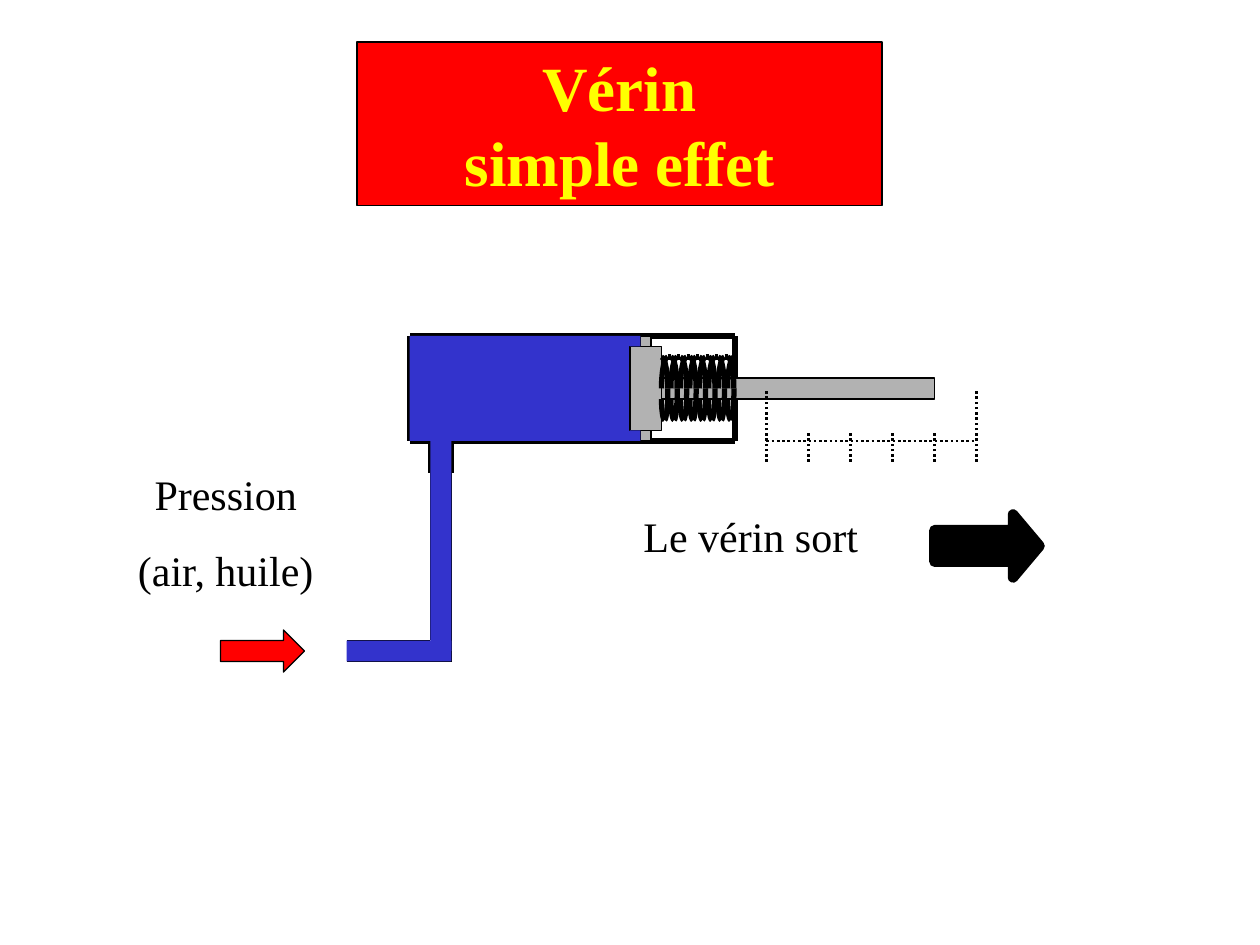
from dataclasses import dataclass

from pptx import Presentation
from pptx.dml.color import RGBColor
from pptx.enum import dml, shapes, text
from pptx.oxml import ns, parse_xml
from pptx.util import Pt

SHAPE = shapes.MSO_SHAPE


@dataclass(frozen=True)
class Theme:
    black: str = "000000"
    red: str = "FF0000"
    yellow: str = "FFFF00"
    fluid: str = "3333CC"
    steel: str = "B2B2B2"
    font: str = "Times New Roman"
    title: float = 36
    label: float = 24
    thin: float = 0.75
    dotted: float = 1.5
    wall: float = 3
    heavy: float = 6


T = Theme()


def rgb(value):
    return RGBColor.from_string(value)


def place(sp, x, y, w, h):
    sp.left, sp.top, sp.width, sp.height = Pt(x), Pt(y), Pt(w), Pt(h)


def paint(sp, fill, width):
    """Fill and outline a shape; None means no fill or no outline."""
    if fill:
        sp.fill.solid()
        sp.fill.fore_color.rgb = rgb(fill)
    else:
        sp.fill.background()
    if width:
        sp.line.color.rgb = rgb(T.black)
        sp.line.width = Pt(width)
    else:
        sp.line.fill.background()


def add_box(parent, x, y, w, h, fill=None, width=None, kind=SHAPE.RECTANGLE):
    sp = parent.shapes.add_shape(kind, Pt(x), Pt(y), Pt(w), Pt(h))
    sp.shadow.inherit = False
    paint(sp, fill, width)
    return sp


def add_arc(parent, x, y, w, h, start):
    """Quarter ellipse, clockwise from the start angle in degrees."""
    sp = add_box(parent, x, y, w, h, width=T.wall, kind=SHAPE.ARC)
    for i, angle in enumerate((start, (start + 90) % 360)):
        sp.adjustments[i] = angle * 0.6  # 60000ths of a degree / 100000


def add_line(parent, x1, y1, x2, y2, width, dash=None):
    ln = parent.shapes.add_connector(
        shapes.MSO_CONNECTOR.STRAIGHT, Pt(x1), Pt(y1), Pt(x2), Pt(y2))
    ln.line.color.rgb = rgb(T.black)
    ln.line.width = Pt(width)
    if dash:
        ln.line.dash_style = dash
    ln._element.spPr.append(parse_xml(f"<a:effectLst {ns.nsdecls('a')}/>"))


def add_path(parent, points, width):
    for start, end in zip(points, points[1:]):
        add_line(parent, *start, *end, width)


def write(sp, content, size, color, before, bold=False):
    tf = sp.text_frame
    tf.text = content
    tf.word_wrap = True
    tf.auto_size = text.MSO_AUTO_SIZE.NONE
    tf.vertical_anchor = text.MSO_ANCHOR.TOP
    for p in tf.paragraphs:
        p.alignment = text.PP_ALIGN.CENTER
        p.space_before = Pt(before)
        for r in p.runs:
            r.font.name, r.font.size, r.font.bold = T.font, Pt(size), bold
            r.font.color.rgb = rgb(color)


def add_label(s, x, y, w, h, content):
    sp = s.shapes.add_textbox(Pt(x), Pt(y), Pt(w), Pt(h))
    write(sp, content, T.label, T.black, 15)


def add_title(s):
    sp = s.shapes.title
    place(sp, 204, 24, 300, 93.6)
    paint(sp, T.red, T.thin)
    write(sp, "Vérin\vsimple effet", T.title, T.yellow, 22.5, bold=True)


def add_cylinder(s):
    # Walls and inlet
    add_path(s, [(420, 252), (258, 252), (258, 270)], T.wall)
    add_path(s, [(420, 192), (234, 192), (234, 252), (246, 252), (246, 270)],
             T.wall)
    # Supply pipe
    add_path(s, [(246, 270), (246, 366), (198, 366)], T.thin)
    add_path(s, [(258, 270), (258, 378), (198, 378)], T.thin)
    # Fluid
    add_box(s, 198, 366, 60, 12, T.fluid)
    add_box(s, 246, 252, 12, 120, T.fluid)
    add_box(s, 234, 192, 126, 60, T.fluid)
    add_line(s, 420, 252, 420, 192, T.wall)


def add_piston(s):
    g = s.shapes.add_group_shape()
    add_box(g, 360, 198, 18, 48, T.steel, T.thin)
    for y in (192, 246):  # seals
        add_box(g, 366, y, 6, 6, T.steel, T.thin)
    add_box(g, 378, 216, 156, 12, T.steel, T.thin)  # rod
    for y in (246, 192):  # fluid beside the seals
        add_box(g, 360, y, 6, 6, T.fluid)


def add_spring(s):
    g = s.shapes.add_group_shape()
    coils, pitch, w, top, h = 8, 5.4, 3.6, 204, 36
    for i in range(coils):
        x = 378 + i * pitch
        add_arc(g, x - w, top, 2 * w, h, 270)
        add_arc(g, x, top, w, h, 0)
        add_arc(g, x, top + 12, w, h - 12, 90)
        add_arc(g, x, top, 2 * w, h, 180)
        if i < coils - 1:
            add_line(g, x + w, top, x + pitch, top, T.wall)


def add_stroke_scale(s):
    left, right, step = 438, 558, 24
    dot = dml.MSO_LINE.ROUND_DOT
    add_line(s, left, 252, right, 252, T.dotted, dot)
    for x in range(left, right + 1, step):
        top = 222 if x in (left, right) else 246
        add_line(s, x, 264, x, top, T.dotted, dot)


def main():
    prs = Presentation()
    prs.slide_width, prs.slide_height = Pt(720), Pt(540)
    s = prs.slides.add_slide(prs.slide_layouts[5])

    add_title(s)
    add_cylinder(s)
    add_piston(s)
    add_spring(s)
    add_stroke_scale(s)

    # Pressure supply
    add_box(s, 126, 360, 48, 24, T.red, T.thin, SHAPE.RIGHT_ARROW)
    add_label(s, 66, 264, 126, 80, "Pression\n(air, huile)")

    # Direction of travel
    arrow = add_box(s, 534, 294, 60, 36, T.black, T.heavy, SHAPE.RIGHT_ARROW)
    arrow.adjustments[1] = 0.42
    add_label(s, 348, 288, 162, 36, "Le vérin sort")

    prs.save("out.pptx")


if __name__ == "__main__":
    main()
